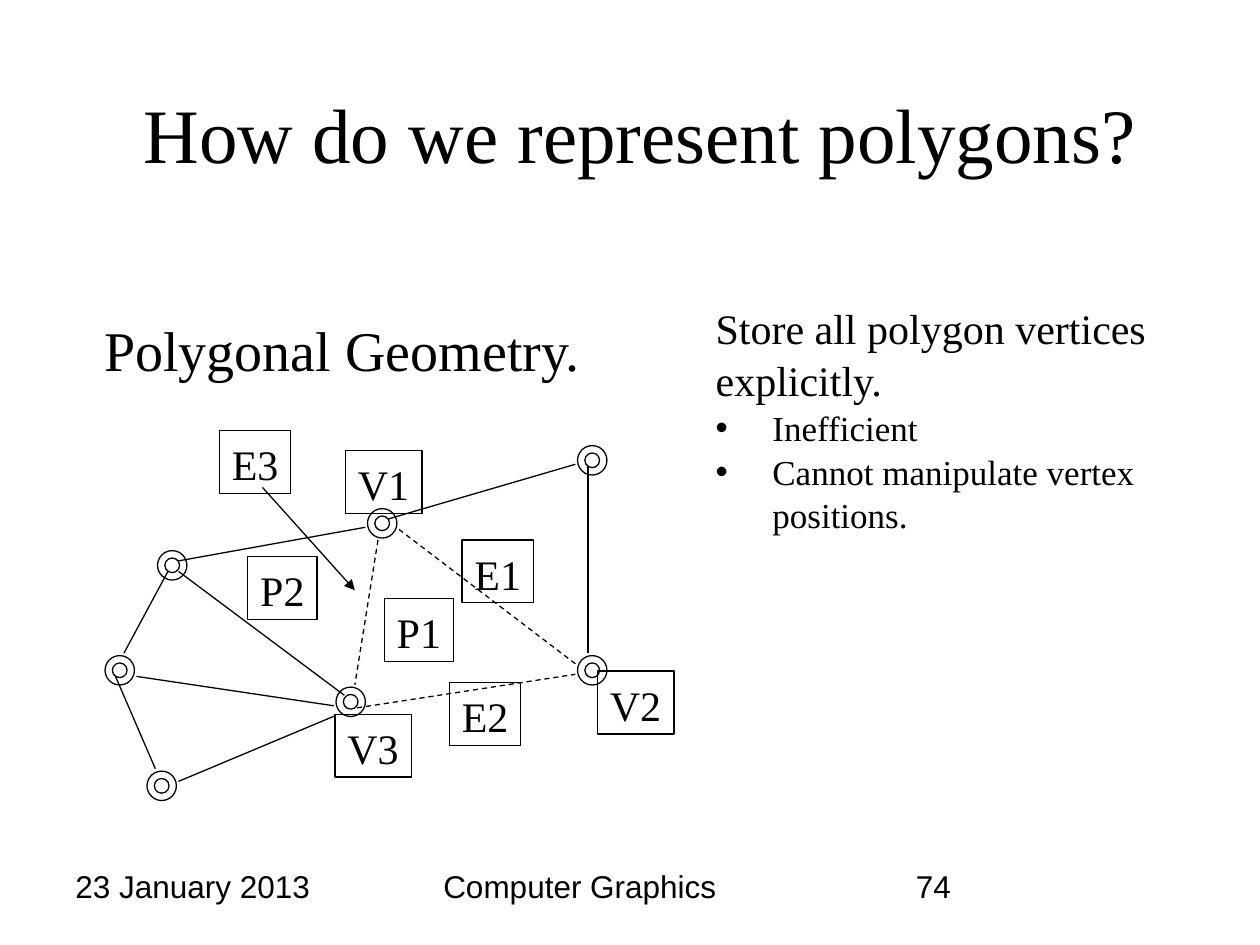
import pptx
import pptx.dml.color
import pptx.enum.dml
import pptx.enum.shapes
import pptx.enum.text
import pptx.oxml.ns
import pptx.util
from lxml import etree
from typing import NamedTuple

COLOURS = {"ink": "000000", "paper": "FFFFFF"}
SERIF, SANS = "Times New Roman", "Arial"
SLIDE_WIDTH, SLIDE_HEIGHT = 10, 7.5

# Drawing grid: cells of a twelfth of an inch, rows starting just below the top
CELL = 1 / 12
ROW_ORIGIN = 0.035
RING_SIZE = 2.8
LINE_INSET = 0.2
LABEL_HEIGHT = 6
LABEL_WIDTHS = {"V": 7.3, "P": 6.6, "E": 6.8}


class Vertex(NamedTuple):
    column: float
    row: float
    filled: bool = True


class Edge(NamedTuple):
    start: tuple
    end: tuple
    dashed: bool = False
    arrow: bool = False


class Label(NamedTuple):
    text: str
    column: float
    row: float


class Footer(NamedTuple):
    text: str
    left: float
    width: float


VERTICES = [
    Vertex(15, 52), Vertex(32, 65), Vertex(35, 48), Vertex(10, 62),
    Vertex(14, 73, filled=False), Vertex(55, 42), Vertex(55, 62),
]
EDGES = [
    Edge((17, 54), (33, 66)), Edge((13, 64), (32, 67)),
    Edge((16, 54), (12, 62)), Edge((11, 64), (15, 73)),
    Edge((17, 74), (32, 68)), Edge((17, 53), (35, 50)),
    Edge((36, 51), (34, 65), dashed=True),
    Edge((38, 50), (55, 63), dashed=True),
    Edge((34, 67), (55, 64), dashed=True),
    Edge((56, 44), (56, 62)), Edge((37, 49), (55, 44)),
]
LABELS = [
    Label("V1", 32.9, 42.5), Label("V2", 56.9, 63.5), Label("V3", 31.9, 67.6),
    Label("P1", 36.6, 56.6), Label("P2", 23.6, 52.6),
    Label("E1", 44, 51), Label("E2", 42.8, 64.6), Label("E3", 20.9, 40.6),
]
POINTER = Edge((25, 46), (34, 56), arrow=True)
FOOTERS = [
    Footer("23 January 2013", 0.05, 0.233),
    Footer("Computer Graphics", 0.342, 0.316),
    Footer("74", 0.717, 0.233),
]


def colour(name: str):
    return pptx.dml.color.RGBColor.from_string(COLOURS[name])


def share(left: float, top: float, width: float, height: float) -> list:
    """Turn shares of the slide's size into lengths."""
    return [pptx.util.Inches(left * SLIDE_WIDTH), pptx.util.Inches(top * SLIDE_HEIGHT),
            pptx.util.Inches(width * SLIDE_WIDTH), pptx.util.Inches(height * SLIDE_HEIGHT)]


def grid_point(column: float, row: float) -> list:
    return [pptx.util.Inches(column * CELL), pptx.util.Inches(ROW_ORIGIN + row * CELL)]


def cells(count: float):
    return pptx.util.Inches(count * CELL)


def write(frame, text: str, *, size: float, font: str = SERIF, align: str = "LEFT",
          anchor: str = "TOP", wrap: bool = True, bullet: bool = False,
          append: bool = False, spacing: float = 1.04) -> None:
    """Write one formatted paragraph into a text frame."""
    frame.word_wrap = wrap
    frame.auto_size = pptx.enum.text.MSO_AUTO_SIZE.NONE
    frame.vertical_anchor = getattr(pptx.enum.text.MSO_ANCHOR, anchor)
    paragraph = frame.add_paragraph() if append else frame.paragraphs[0]
    properties = paragraph._p.get_or_add_pPr()
    indent = pptx.util.Inches(0.45) if bullet else 0
    properties.set("marL", str(indent))
    properties.set("indent", str(-indent))
    tag = pptx.oxml.ns.qn("a:buChar" if bullet else "a:buNone")
    mark = etree.SubElement(properties, tag)
    if bullet:
        mark.set("char", "•")
    paragraph.alignment = getattr(pptx.enum.text.PP_ALIGN, align)
    paragraph.line_spacing = spacing
    paragraph.space_before = pptx.util.Pt(0)
    run = paragraph.add_run()
    run.text = text
    run.font.name = font
    run.font.size = pptx.util.Pt(size)
    run.font.color.rgb = colour("ink")


def style_line(line) -> None:
    line.color.rgb = colour("ink")
    line.width = pptx.util.Pt(0.75)


def draw_vertex(slide, vertex: Vertex) -> None:
    shape = slide.shapes.add_shape(
        pptx.enum.shapes.MSO_SHAPE.DONUT,
        *grid_point(vertex.column, vertex.row + 0.02), cells(RING_SIZE), cells(RING_SIZE))
    shape.adjustments[0] = 0.25
    shape.shadow.inherit = False
    if vertex.filled:
        shape.fill.solid()
        shape.fill.fore_color.rgb = colour("paper")
    else:
        shape.fill.background()
    style_line(shape.line)


def draw_edge(slide, edge: Edge) -> None:
    (start_column, start_row), (end_column, end_row) = edge.start, edge.end
    if end_column != start_column:
        end_column -= LINE_INSET
    connector = slide.shapes.add_connector(
        pptx.enum.shapes.MSO_CONNECTOR.STRAIGHT,
        *grid_point(start_column, start_row), *grid_point(end_column, end_row - LINE_INSET))
    style_line(connector.line)
    if edge.dashed:
        connector.line.dash_style = pptx.enum.dml.MSO_LINE.DASH
    if edge.arrow:
        head = etree.SubElement(connector.line._get_or_add_ln(), pptx.oxml.ns.qn("a:tailEnd"))
        head.set("type", "triangle")
    etree.SubElement(connector._element.spPr, pptx.oxml.ns.qn("a:effectLst"))


def draw_label(slide, label: Label) -> None:
    shape = slide.shapes.add_shape(
        pptx.enum.shapes.MSO_SHAPE.RECTANGLE, *grid_point(label.column, label.row),
        cells(LABEL_WIDTHS[label.text[0]]), cells(LABEL_HEIGHT))
    shape.shadow.inherit = False
    shape.fill.background()
    style_line(shape.line)
    write(shape.text_frame, label.text, size=24, wrap=False)


def main() -> None:
    presentation = pptx.Presentation()
    presentation.slide_width = pptx.util.Inches(SLIDE_WIDTH)
    presentation.slide_height = pptx.util.Inches(SLIDE_HEIGHT)
    slide = presentation.slides.add_slide(presentation.slide_layouts[1])

    # Title and list
    title, body = slide.shapes.title, slide.placeholders[1]
    title.left, title.top, title.width, title.height = share(0.083, 0.067, 0.85, 0.144)
    write(title.text_frame, "How do we represent polygons?", size=44,
          align="CENTER", anchor="MIDDLE")
    body.left, body.top, body.width, body.height = share(0.558, 0.311, 0.402, 0.253)
    write(body.text_frame, "Store all polygon vertices explicitly.", size=24)
    for text in ("Inefficient", "Cannot manipulate vertex positions."):
        write(body.text_frame, text, size=20, bullet=True, append=True)

    # Heading of the drawing
    heading = slide.shapes.add_textbox(*share(0.073, 0.325, 0.4, 0.085))
    write(heading.text_frame, "Polygonal Geometry.", size=32, wrap=False)

    # Polygon mesh with its labels
    for vertex in VERTICES:
        draw_vertex(slide, vertex)
    for edge in EDGES:
        draw_edge(slide, edge)
    for label in LABELS:
        draw_label(slide, label)
    draw_edge(slide, POINTER)

    # Footer
    for footer in FOOTERS:
        box = slide.shapes.add_textbox(*share(footer.left, 0.911, footer.width, 0.068))
        write(box.text_frame, footer.text, size=18, font=SANS, spacing=1)

    presentation.save("out.pptx")


if __name__ == "__main__":
    main()
